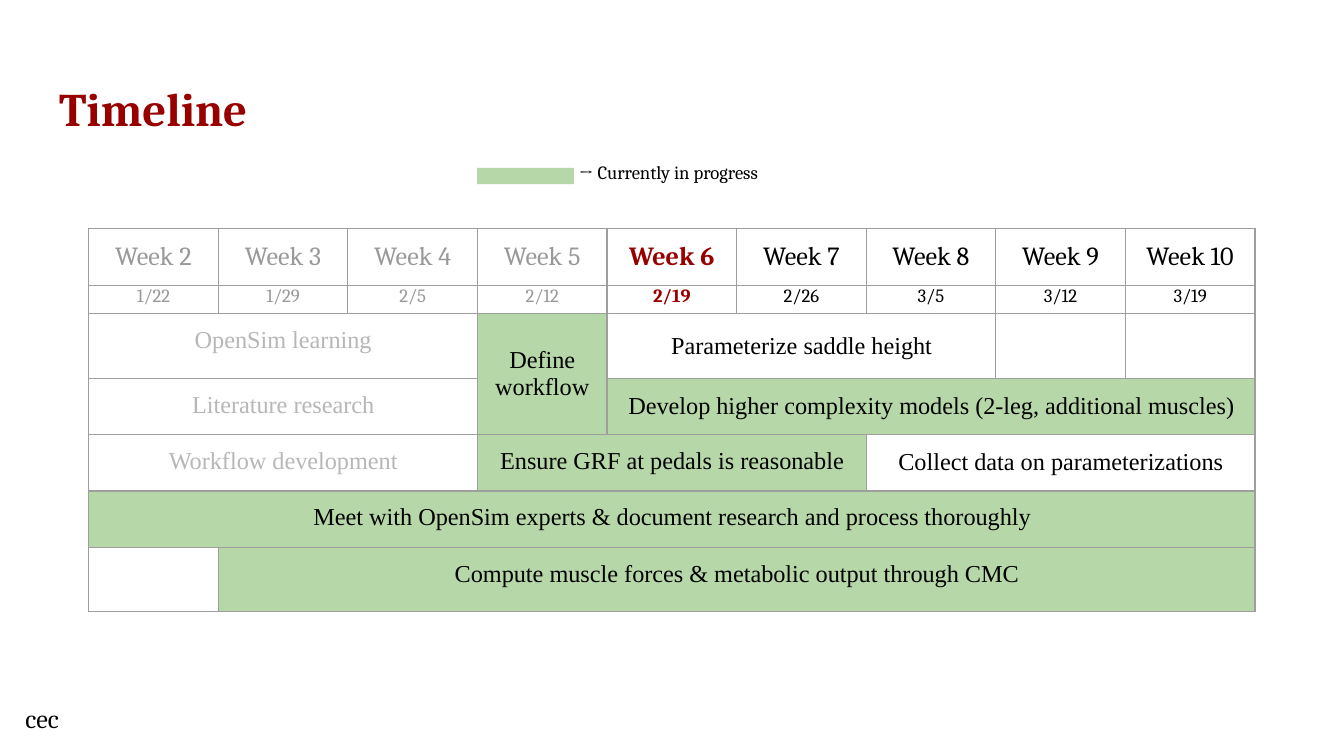
import pptx
import pptx.util
import pptx.dml.color
import pptx.enum.shapes
import pptx.enum.text
import pptx.oxml
import pptx.oxml.ns

COLORS = {"accent": "980000", "past": "999999", "done": "B7B7B7", "text": "000000",
          "progress": "B6D7A8", "grid": "9E9E9E"}
HEADING_FONT, TASK_FONT = "Cambria", "Times New Roman"
WEEKS = [("Week 2", "1/22"), ("Week 3", "1/29"), ("Week 4", "2/5"),
         ("Week 5", "2/12"), ("Week 6", "2/19"), ("Week 7", "2/26"),
         ("Week 8", "3/5"), ("Week 9", "3/12"), ("Week 10", "3/19")]
CURRENT_WEEK = 4
TASKS = [
    # row, first week, rows, weeks, status, anchor, wording
    (2, 0, 1, 3, "done", "TOP", "OpenSim learning"),
    (2, 3, 2, 1, "progress", "MIDDLE", "Define workflow"),
    (2, 4, 1, 3, "planned", "MIDDLE", "Parameterize saddle height"),
    (3, 0, 1, 3, "done", "TOP", "Literature research"),
    (3, 4, 1, 5, "progress", "MIDDLE",
     "Develop higher complexity models (2-leg, additional muscles)"),
    (4, 0, 1, 3, "done", "TOP", "Workflow development"),
    (4, 3, 1, 3, "progress", "TOP", "Ensure GRF at pedals is reasonable"),
    (4, 6, 1, 3, "planned", "MIDDLE", "Collect data on parameterizations"),
    (5, 0, 1, 9, "progress", "TOP",
     "Meet with OpenSim experts & document research and process thoroughly"),
    (6, 1, 1, 8, "progress", "TOP",
     "Compute muscle forces & metabolic output through CMC"),
]
NOTES = [("→ Currently in progress", 10, (4.21, 1.11, 2.56, 0.37)),
         ("cec", 14, (0.09, 5.13, 0.75, 0.44))]
ROW_HEIGHTS = [0.42, 0.21, 0.48, 0.42, 0.42, 0.42, 0.48]
SLIDE_WIDTH = 10
SLIDE_HEIGHT = SLIDE_WIDTH * 9 / 16
GRID_LEFT, GRID_TOP, GRID_WIDTH = 0.66, 1.7, 8.68
WEEK_WIDTH = GRID_WIDTH / len(WEEKS)
INSET = 0.1


def rgb(name):
    return pptx.dml.color.RGBColor.from_string(COLORS[name])


def box(*lengths):
    return [pptx.util.Inches(length) for length in lengths]


def write(frame, wording, size, font, color, bold=False, align="LEFT"):
    paragraph = frame.paragraphs[0]
    paragraph.alignment = getattr(pptx.enum.text.PP_ALIGN, align)
    run = paragraph.add_run()
    run.text = wording
    run.font.size = pptx.util.Pt(size)
    run.font.name = font
    run.font.bold = bold
    run.font.color.rgb = rgb(color)


def set_insets(part, vertical=INSET):
    part.margin_left = part.margin_right = pptx.util.Inches(INSET)
    part.margin_top = part.margin_bottom = pptx.util.Inches(vertical)


def draw_borders(cell):
    properties = cell._tc.get_or_add_tcPr()
    for side in "LRTB":
        properties.append(pptx.oxml.parse_xml(
            f'<a:ln{side} {pptx.oxml.ns.nsdecls("a")} w="{pptx.util.Pt(0.75)}">'
            f'<a:solidFill><a:srgbClr val="{COLORS["grid"]}"/></a:solidFill></a:ln{side}>'))


def add_title(slide):
    title = slide.shapes.title
    title.left, title.top, title.width, title.height = box(0.34, 0.49, 9.32, 0.63)
    frame = title.text_frame
    set_insets(frame)
    frame.vertical_anchor = pptx.enum.text.MSO_ANCHOR.MIDDLE
    write(frame, "Timeline", 25, HEADING_FONT, "accent", True)


def add_schedule(slide):
    schedule = slide.shapes.add_table(
        len(ROW_HEIGHTS), len(WEEKS),
        *box(GRID_LEFT, GRID_TOP, GRID_WIDTH, sum(ROW_HEIGHTS))).table
    schedule.first_row = schedule.horz_banding = False
    for column in schedule.columns:
        column.width = pptx.util.Inches(WEEK_WIDTH)
    for row, height in zip(schedule.rows, ROW_HEIGHTS):
        row.height = pptx.util.Inches(height)
    for cell in schedule.iter_cells():
        set_insets(cell, 0)
        draw_borders(cell)
        cell.fill.background()
    for week, labels in enumerate(WEEKS):
        current = week == CURRENT_WEEK
        color = "accent" if current else "past" if week < CURRENT_WEEK else "text"
        for row, (label, size, inset) in enumerate(zip(labels, (14, 10), (INSET, 0))):
            cell = schedule.cell(row, week)
            set_insets(cell, inset)
            write(cell.text_frame, label, size, HEADING_FONT, color, current, "CENTER")
    for row, week, rows, weeks, status, anchor, wording in TASKS:
        cell = schedule.cell(row, week)
        cell.merge(schedule.cell(row + rows - 1, week + weeks - 1))
        set_insets(cell)
        cell.vertical_anchor = getattr(pptx.enum.text.MSO_ANCHOR, anchor)
        if status == "progress":
            cell.fill.solid()
            cell.fill.fore_color.rgb = rgb("progress")
        write(cell.text_frame, wording, 13, TASK_FONT,
              "done" if status == "done" else "text", align="CENTER")


def add_legend_swatch(slide):
    swatch = slide.shapes.add_shape(pptx.enum.shapes.MSO_SHAPE.RECTANGLE,
                                    *box(3.55, 1.25, 0.72, 0.12))
    swatch.shadow.inherit = False
    swatch.fill.solid()
    swatch.fill.fore_color.rgb = rgb("progress")
    swatch.line.fill.background()


def add_notes(slide):
    for wording, size, place in NOTES:
        frame = slide.shapes.add_textbox(*box(*place)).text_frame
        frame.word_wrap = True
        set_insets(frame)
        write(frame, wording, size, HEADING_FONT, "text")


def main():
    deck = pptx.Presentation()
    deck.slide_width, deck.slide_height = box(SLIDE_WIDTH, SLIDE_HEIGHT)
    slide = deck.slides.add_slide(deck.slide_layouts[5])
    add_title(slide)
    add_schedule(slide)
    add_legend_swatch(slide)
    add_notes(slide)
    deck.save("out.pptx")


if __name__ == "__main__":
    main()
